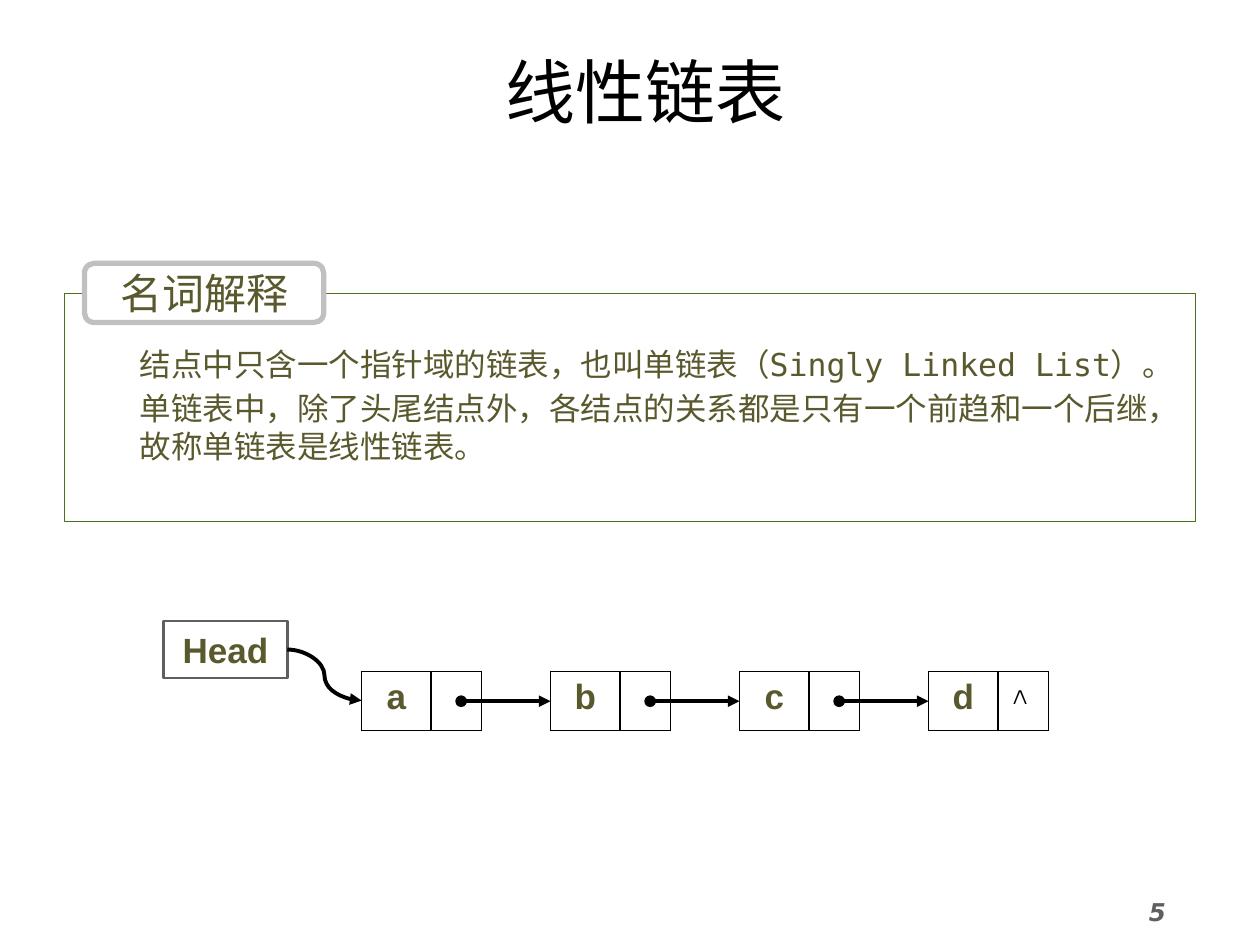
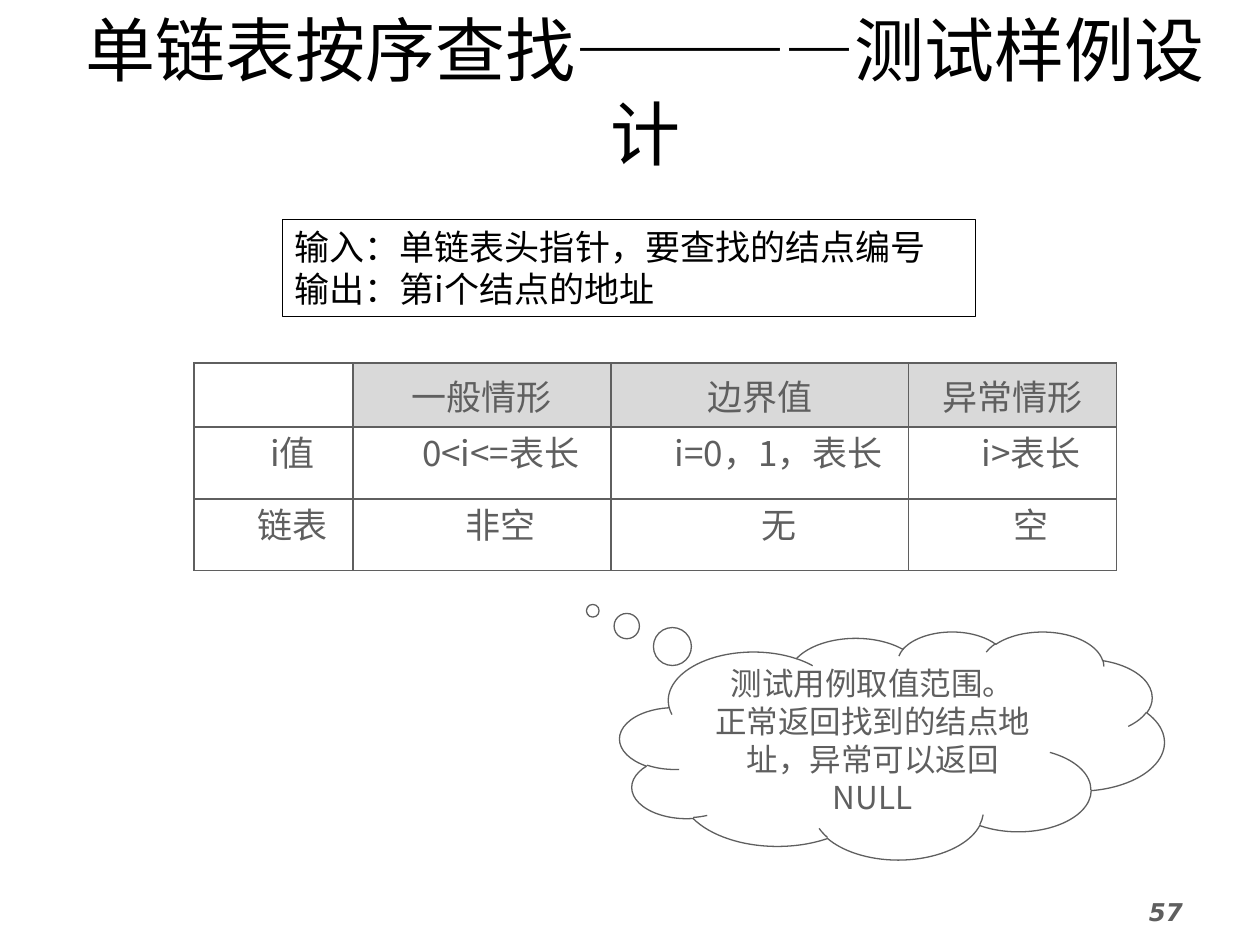
import pptx
import pptx.dml.color
import pptx.enum.shapes
import pptx.enum.text
import pptx.oxml.ns
import pptx.util
from lxml import etree

Inches = pptx.util.Inches
Pt = pptx.util.Pt
Form = pptx.enum.shapes.MSO_SHAPE
Line = pptx.enum.shapes.MSO_CONNECTOR
Align = pptx.enum.text.PP_ALIGN
Anchor = pptx.enum.text.MSO_ANCHOR

BLACK, WHITE = "000000", "FFFFFF"
GREY, SILVER, PALE = "5F5F5F", "C0C0C0", "D9D9D9"
OLIVE, GREEN = "5A592D", "49711E"
MONO, SANS, HAN = "DejaVu Sans Mono", "DejaVu Sans", "Noto Sans CJK SC"
LEFT_SIDE, RIGHT_SIDE = 1, 3


def paint(code):
    return pptx.dml.color.RGBColor.from_string(code)


def child(parent, tag, **attrs):
    return etree.SubElement(parent, pptx.oxml.ns.qn(tag), attrs)


class Deck:
    """Holds the file, the shared style and the current slide."""

    def __init__(self):
        self.file = pptx.Presentation()
        self.file.slide_width = Inches(10)
        self.file.slide_height = Inches(7.5)

    def start(self, title, page):
        """Open a slide with its title and page number."""
        self.slide = self.file.slides.add_slide(self.file.slide_layouts[6])
        self.text((0.35, 0.33, 9.54, 0.77), [title], 40, BLACK, MONO,
                  align=Align.CENTER, anchor=Anchor.MIDDLE)
        self.text((9.02, 7.07, 0.98, 0.43), [page], 14, GREY, SANS,
                  bold=True, slant=True)

    def label(self, frame, lines, size, color, font, bold=False, slant=False,
              align=Align.LEFT, anchor=Anchor.TOP, wrap=True,
              gap=0, pitch=None, margin=0, indent=0):
        """Fill a text frame; gap and pitch are points, margin and indent inches."""
        frame.word_wrap = wrap
        frame.vertical_anchor = anchor
        for index, line in enumerate(lines):
            para = frame.add_paragraph() if index else frame.paragraphs[0]
            para.alignment = align
            para.space_before = Pt(gap if index else 0)
            if pitch:
                para.line_spacing = Pt(pitch)
            props = para._p.get_or_add_pPr()
            props.set("marL", str(Inches(margin)))
            props.set("indent", str(Inches(indent)))
            run = para.add_run()
            run.text = line
            run.font.size = Pt(size)
            run.font.bold = bold
            run.font.italic = slant
            run.font.color.rgb = paint(color)
            run.font.name = font
            child(run._r.get_or_add_rPr(), "a:ea", typeface=HAN)

    def text(self, place, lines, *style, **more):
        box = self.slide.shapes.add_textbox(*map(Inches, place))
        self.label(box.text_frame, lines, *style, **more)

    def shape(self, form, place, edge, width, fill=None):
        item = self.slide.shapes.add_shape(form, *map(Inches, place))
        item.shadow.inherit = False
        if fill:
            item.fill.solid()
            item.fill.fore_color.rgb = paint(fill)
        else:
            item.fill.background()
        item.line.color.rgb = paint(edge)
        item.line.width = Pt(width)
        return item

    def table(self, left, top, widths, heights, edge):
        """Add a plain table with every cell bordered."""
        frame = self.slide.shapes.add_table(
            len(heights), len(widths), Inches(left), Inches(top),
            Inches(sum(widths)), Inches(sum(heights)))
        grid = frame.table
        grid.first_row = grid.horz_banding = False
        for column, width in zip(grid.columns, widths):
            column.width = Inches(width)
        for row, height in zip(grid.rows, heights):
            row.height = Inches(height)
        for cell in grid.iter_cells():
            props = cell._tc.get_or_add_tcPr()
            for side in "LRTB":
                border = child(props, f"a:ln{side}", w=str(Pt(1)))
                child(child(border, "a:solidFill"), "a:srgbClr", val=edge)
            cell.fill.background()
        return frame

    def cell(self, cell, words, *style, pad=(0.1, 0.05), fill=None,
             anchor=Anchor.TOP, **more):
        self.label(cell.text_frame, [words], *style, **more)
        cell.text_frame.word_wrap = None
        cell.vertical_anchor = anchor
        cell.margin_left = cell.margin_right = Inches(pad[0])
        cell.margin_top = cell.margin_bottom = Inches(pad[1])
        if fill:
            cell.fill.solid()
            cell.fill.fore_color.rgb = paint(fill)

    def arrow(self, kind, begin, end, dot=False):
        link = self.slide.shapes.add_connector(kind, *map(Inches, begin + end))
        link.line.color.rgb = paint(BLACK)
        link.line.width = Pt(2.25)
        line = link.line._get_or_add_ln()
        if dot:
            child(line, "a:headEnd", type="oval")
        child(line, "a:tailEnd", type="triangle")
        child(link._element.spPr, "a:effectLst")
        return link


def draw_list(deck):
    deck.start("线性链表", "5")

    panel = deck.shape(Form.RECTANGLE, (0.51, 2.33, 8.98, 1.81), GREEN, 0.75)
    panel.text_frame.margin_top = Inches(0.41)
    deck.label(panel.text_frame, [
        "结点中只含一个指针域的链表，也叫单链表（Singly Linked List）。",
        "单链表中，除了头尾结点外，各结点的关系都是只有一个前趋和一个后继，故称单链表是线性链表。",
    ], 18, OLIVE, MONO, gap=3.6, margin=0.5)

    term = deck.shape(Form.ROUNDED_RECTANGLE, (0.67, 2.09, 1.9, 0.47),
                      SILVER, 3, WHITE)
    deck.label(term.text_frame, ["名词解释"], 24, OLIVE, HAN,
               align=Align.CENTER, anchor=Anchor.MIDDLE, wrap=False)

    head = deck.shape(Form.RECTANGLE, (1.3, 4.93, 0.98, 0.45), GREY, 1.5, WHITE)
    deck.label(head.text_frame, ["Head"], 20, OLIVE, "Arial", bold=True,
               align=Align.CENTER, anchor=Anchor.MIDDLE)

    first, step, top, middle = 2.87, 1.5, 5.33, 5.56
    curve = deck.arrow(Line.CURVE, (2.28, 5.16), (first, middle))
    curve.begin_connect(head, RIGHT_SIDE)

    nodes = []
    for index, name in enumerate("abcd"):
        node = deck.table(first + index * step, top, [0.55, 0.4], [0.47], BLACK)
        deck.cell(node.table.cell(0, 0), name, 20, OLIVE, "Arial", bold=True,
                  align=Align.CENTER)
        nodes.append(node)
    deck.cell(nodes[-1].table.cell(0, 1), "∧", 18, BLACK, "Courier New")

    for index, node in enumerate(nodes[1:]):
        left = first + index * step
        link = deck.arrow(Line.STRAIGHT, (left + 0.79, middle),
                          (left + step, middle), dot=True)
        link.end_connect(node, LEFT_SIDE)
        link.begin_y = link.end_y


def draw_tests(deck):
    deck.start("单链表按序查找————测试样例设计", "57")

    cases = [
        ["", "一般情形", "边界值", "异常情形"],
        ["i值", "0<i<=表长", "i=0，1，表长", "i>表长"],
        ["链表", "非空", "无", "空"],
    ]
    grid = deck.table(1.54, 2.88, [1.26, 2.05, 2.36, 1.65],
                      [0.51, 0.57, 0.57], GREY).table
    top_style = dict(fill=PALE)
    body_style = dict(pad=(0.07, 0), pitch=15.6, indent=0.3)
    for row, entries in enumerate(cases):
        for column, entry in enumerate(entries):
            if entry:
                deck.cell(grid.cell(row, column), entry, 20, GREY, HAN,
                          align=Align.CENTER, anchor=Anchor.MIDDLE,
                          **(body_style if row else top_style))

    brief = deck.shape(Form.RECTANGLE, (2.24, 1.74, 5.5, 0.77), BLACK, 0.75)
    deck.label(brief.text_frame, [
        "输入：单链表头指针，要查找的结点编号",
        "输出：第i个结点的地址",
    ], 20, BLACK, HAN)

    cloud = deck.shape(Form.CLOUD_CALLOUT, (4.92, 5.01, 4.32, 1.81), GREY, 0.75)
    cloud.adjustments[0] = -0.55
    cloud.adjustments[1] = -0.59
    deck.label(cloud.text_frame, [
        "测试用例取值范围。",
        "正常返回找到的结点地址，异常可以返回NULL",
    ], 18, GREY, HAN, align=Align.CENTER, anchor=Anchor.MIDDLE)


def main():
    deck = Deck()
    draw_list(deck)
    draw_tests(deck)
    deck.file.save("out.pptx")


if __name__ == "__main__":
    main()
